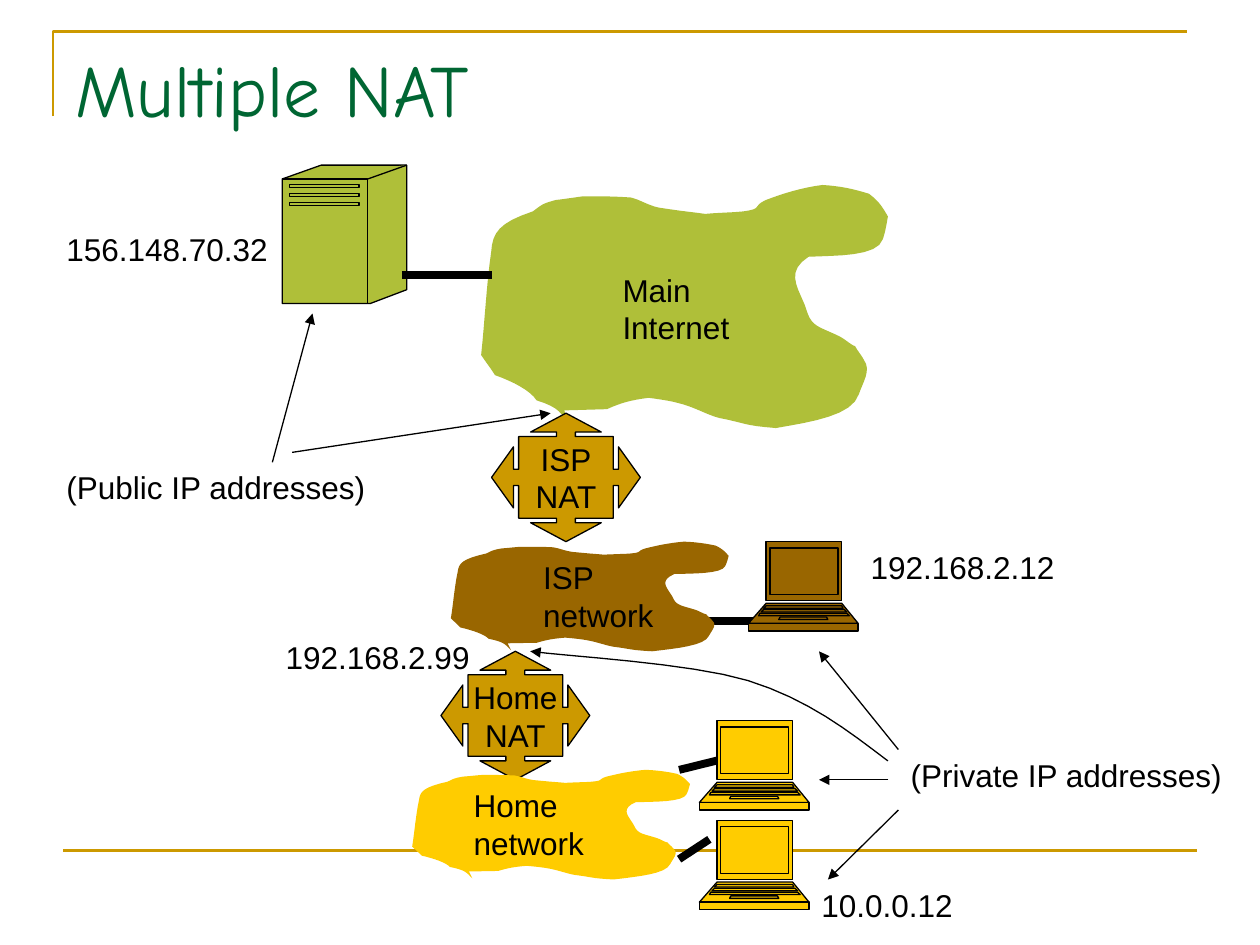
from lxml import etree
from pptx import Presentation
from pptx.dml.color import RGBColor
from pptx.enum.shapes import MSO_CONNECTOR
from pptx.enum.text import MSO_ANCHOR, PP_ALIGN
from pptx.oxml.ns import qn
from pptx.util import Cm, Pt

STRAIGHT = MSO_CONNECTOR.STRAIGHT
MIDDLE, TOP = MSO_ANCHOR.MIDDLE, MSO_ANCHOR.TOP
CENTER, LEFT = PP_ALIGN.CENTER, PP_ALIGN.LEFT

BLACK = RGBColor(0x00, 0x00, 0x00)
DARK_GREEN = RGBColor(0x00, 0x66, 0x33)
GOLD = RGBColor(0xCC, 0x99, 0x00)
LIME = RGBColor(0xAF, 0xBF, 0x39)
BROWN = RGBColor(0x99, 0x66, 0x00)
YELLOW = RGBColor(0xFF, 0xCC, 0x00)

CLOUD_START = (70, 191)
CLOUD_CURVES = [
    (63, 181, 63, 177, 44, 171), (39, 163, 25, 156, 11, 151),
    (8, 146, 4, 141, 0, 135), (3, 108, 4, 81, 8, 53),
    (9, 38, 14, 30, 41, 21), (48, 16, 48, 15, 59, 12),
    (67, 11, 81, 9, 81, 9), (94, 9, 107, 9, 119, 10),
    (127, 12, 132, 16, 141, 18), (168, 22, 156, 20, 178, 23),
    (188, 22, 198, 22, 208, 21), (224, 19, 215, 17, 226, 12),
    (239, 7, 255, 2, 271, 0), (286, 1, 295, 3, 308, 7),
    (316, 13, 319, 18, 323, 25), (322, 31, 321, 37, 319, 43),
    (315, 57, 281, 56, 260, 57), (243, 68, 250, 79, 256, 93),
    (259, 99, 259, 107, 267, 112), (274, 116, 284, 119, 289, 123),
    (292, 125, 294, 127, 297, 128), (299, 132, 302, 135, 304, 139),
    (310, 147, 303, 157, 300, 166), (295, 183, 263, 188, 234, 193),
    (208, 191, 210, 189, 189, 185), (178, 182, 169, 176, 156, 173),
    (149, 171, 133, 169, 133, 169), (118, 171, 111, 173, 100, 178),
]


def trace_curves(start, curves, steps=8):
    """Return points along a chain of cubic Bezier curves."""
    points = [start]
    for x1, y1, x2, y2, x3, y3 in curves:
        x0, y0 = points[-1]
        for step in range(1, steps + 1):
            t = step / steps
            a, b, c, d = (1 - t) ** 3, 3 * t * (1 - t) ** 2, 3 * t * t * (1 - t), t ** 3
            points.append((a * x0 + b * x1 + c * x2 + d * x3,
                           a * y0 + b * y1 + c * y2 + d * y3))
    return points


def trapezoid(top, bottom, top_left, top_right, bottom_left, bottom_right):
    """Return a closed contour with level top and bottom edges."""
    return [(top_left, top), (bottom_left, bottom), (bottom_right, bottom),
            (top_right, top), (top_left, top)]


def rectangle(left, top, right, bottom):
    """Return a closed rectangular contour."""
    return trapezoid(top, bottom, left, right, left, right)


def write_text(frame, text, size=18, font="Arial", color=BLACK, align=LEFT,
               anchor=TOP, wrap=False):
    """Fill a text frame with one paragraph per line of text."""
    frame.word_wrap = wrap
    frame.vertical_anchor = anchor
    for index, words in enumerate(text.split("\n")):
        paragraph = frame.add_paragraph() if index else frame.paragraphs[0]
        paragraph.alignment = align
        run = paragraph.add_run()
        run.text = words
        run.font.size = Pt(size)
        run.font.name = font
        run.font.color.rgb = color


def add_label(slide, box, text, **style):
    """Add a text box at the given box."""
    label = slide.shapes.add_textbox(*map(Cm, box))
    write_text(label.text_frame, text, **style)


def add_arrowhead(properties):
    """Put a triangle at the end of the line in the shape properties."""
    etree.SubElement(properties.find(qn("a:ln")), qn("a:tailEnd"), type="triangle")


def add_outline(slide, box, grid, contours, fill=None, line=None, width=0.75):
    """Scale contours from a grid to a box and draw each as its own outline."""
    left, top, box_width, box_height = box
    scaled = [[(Cm(left + x / grid[0] * box_width), Cm(top + y / grid[1] * box_height))
               for x, y in contour] for contour in contours]
    builder = slide.shapes.build_freeform(*scaled[0][0])
    for index, points in enumerate(scaled):
        if index:
            builder.move_to(*points[0])
        builder.add_line_segments(points[1:], close=False)
    outline = builder.convert_to_shape()
    outline.shadow.inherit = False
    if fill is None:
        outline.fill.background()
    else:
        outline.fill.solid()
        outline.fill.fore_color.rgb = fill
    if line is None:
        outline.line.fill.background()
    else:
        outline.line.color.rgb = line
        outline.line.width = Pt(width)
    first = current = outline._element.find(".//" + qn("a:path"))
    for step in list(first)[1:]:
        if step.tag == qn("a:moveTo"):
            current = etree.SubElement(first.getparent(), first.tag, dict(first.attrib))
        current.append(step)
    return outline


def add_line(slide, start, end, color=BLACK, width=0.75, arrow=False):
    """Draw a straight line, with an arrowhead if asked."""
    line = slide.shapes.add_connector(STRAIGHT, *map(Cm, start + end))
    line.line.color.rgb = color
    line.line.width = Pt(width)
    properties = line._element.spPr
    if arrow:
        add_arrowhead(properties)
    etree.SubElement(properties, qn("a:effectLst"))


def add_frame(slide, box):
    """Draw the corner rule and the bottom rule."""
    left, top, width, height = box
    add_outline(slide, (left, top, width, 1.7), (1, 1), [[(0, 1), (0, 0), (1, 0)]],
                line=GOLD, width=1.5)
    bottom = top + height
    add_line(slide, (left + 0.2, bottom), (left + 0.2 + width, bottom), GOLD, 1.5)


def add_cloud(slide, box, color, name, name_box):
    """Draw a network cloud with its name at an offset inside it."""
    contour = trace_curves(CLOUD_START, CLOUD_CURVES) + [(66, 179)]
    add_outline(slide, box, (323, 193), [contour], color)
    dx, dy, width = name_box
    add_label(slide, (box[0] + dx, box[1] + dy, width, 1.78), name)


def add_nat(slide, box, name):
    """Draw a four-way arrow block with its name."""
    arm = [(-0.636, -0.636), (-0.127, -0.636), (-0.127, -0.706), (-0.475, -0.706),
           (0, -1), (0.475, -0.706), (0.127, -0.706), (0.127, -0.636)]
    contour = []
    for _ in range(4):
        contour += arm
        arm = [(-y, x) for x, y in arm]
    contour = [(x + 1, y + 1) for x, y in contour + arm[:1]]
    block = add_outline(slide, box, (2, 2), [contour], GOLD, BLACK)
    write_text(block.text_frame, name, align=CENTER, anchor=MIDDLE)


def add_laptop(slide, box, color):
    """Draw a laptop with screen, keyboard and base."""
    contours = [
        rectangle(14, 0, 74, 47), trapezoid(49, 65, 14, 74, 0, 87),
        rectangle(0, 65, 87, 71), rectangle(17, 5, 71, 42),
        trapezoid(51, 53, 14, 74, 12, 75), trapezoid(60, 62, 25, 62, 24, 63),
        trapezoid(54, 56, 12, 76, 10, 78), trapezoid(57, 59, 9, 78, 8, 80),
    ]
    add_outline(slide, box, (87, 71), contours, color, BLACK)


def add_server(slide, box):
    """Draw a server tower with three slots."""
    body = [(0, 11), (31, 0), (99, 0), (99, 99), (70, 110), (0, 110), (0, 11)]
    edges = [[(0, 11), (68, 11), (99, 0)], [(0, 11), (68, 11), (68, 110)]]
    slots = [rectangle(6, top, 61, top + 2.4) for top in (15.3, 22.6, 29.9)]
    add_outline(slide, box, (99, 110), [body] + edges + slots, LIME, BLACK)


def add_private_curve(slide, box):
    """Draw the curved arrow from the private addresses to the home NAT."""
    contour = trace_curves((284, 86), [(252, 62, 221, 38, 173, 23), (126, 9, 29, 4, 0, 0)])
    curve = add_outline(slide, box, (284, 86), [contour], line=BLACK)
    add_arrowhead(curve._element.spPr)


def main():
    """Build the slide and save it."""
    deck = Presentation()
    deck.slide_width, deck.slide_height = Cm(25.4), Cm(19.05)
    slide = deck.slides.add_slide(deck.slide_layouts[6])
    add_frame(slide, (1.07, 0.64, 22.86, 16.51))
    add_label(slide, (1.27, 0.76, 22.86, 3.18), "Multiple NAT", size=42,
              font="Comic Neue", color=DARK_GREEN, wrap=True)
    add_cloud(slide, (9.7, 3.73, 8.2, 4.9), LIME, "Main\nInternet", (2.6, 1.6, 2.8))
    add_server(slide, (5.69, 3.33, 2.51, 2.79))
    for start, end in [((13.69, 15.52), (14.5, 15.32)), ((8.1, 5.54), (9.91, 5.54)),
                       ((15.29, 12.52), (14.3, 12.52)), ((14.3, 16.92), (13.69, 17.32))]:
        add_line(slide, start, end, width=4.5)
    add_nat(slide, (9.91, 8.33, 3, 2.59), "ISP\nNAT")
    add_cloud(slide, (9.09, 10.92, 5.6, 2.21), BROWN, "ISP\nnetwork", (1.61, 0.2, 2.9))
    add_nat(slide, (8.89, 13.13, 3, 2.59), "Home\nNAT")
    add_cloud(slide, (8.31, 15.52, 5.6, 2.21), YELLOW, "Home\nnetwork", (0.99, 0.2, 2.9))
    for left, top, color in [(14.1, 16.54, YELLOW), (14.1, 14.53, YELLOW),
                             (15.09, 10.92, BROWN)]:
        add_laptop(slide, (left, top, 2.21, 1.8), color)
    for start, end in [((5.49, 9.32), (6.3, 6.32)), ((5.89, 9.12), (11.1, 8.33)),
                       ((18.11, 16.33), (16.69, 17.73)), ((17.91, 15.72), (16.51, 15.72)),
                       ((18.11, 15.11), (16.51, 13.13))]:
        add_line(slide, start, end, arrow=True)
    add_private_curve(slide, (10.69, 13.13, 7.21, 2.21))
    for left, top, width, text in [
            (18.11, 15.11, 6.85, "(Private IP addresses)"),
            (1.09, 9.32, 6.6, "(Public IP addresses)"),
            (16.31, 17.73, 3.25, "10.0.0.12"), (17.3, 10.92, 4.3, "192.168.2.12"),
            (5.51, 12.73, 4.3, "192.168.2.99"), (1.09, 4.52, 4.65, "156.148.70.32")]:
        add_label(slide, (left, top, width, 1.02), text)
    deck.save("out.pptx")


if __name__ == "__main__":
    main()
